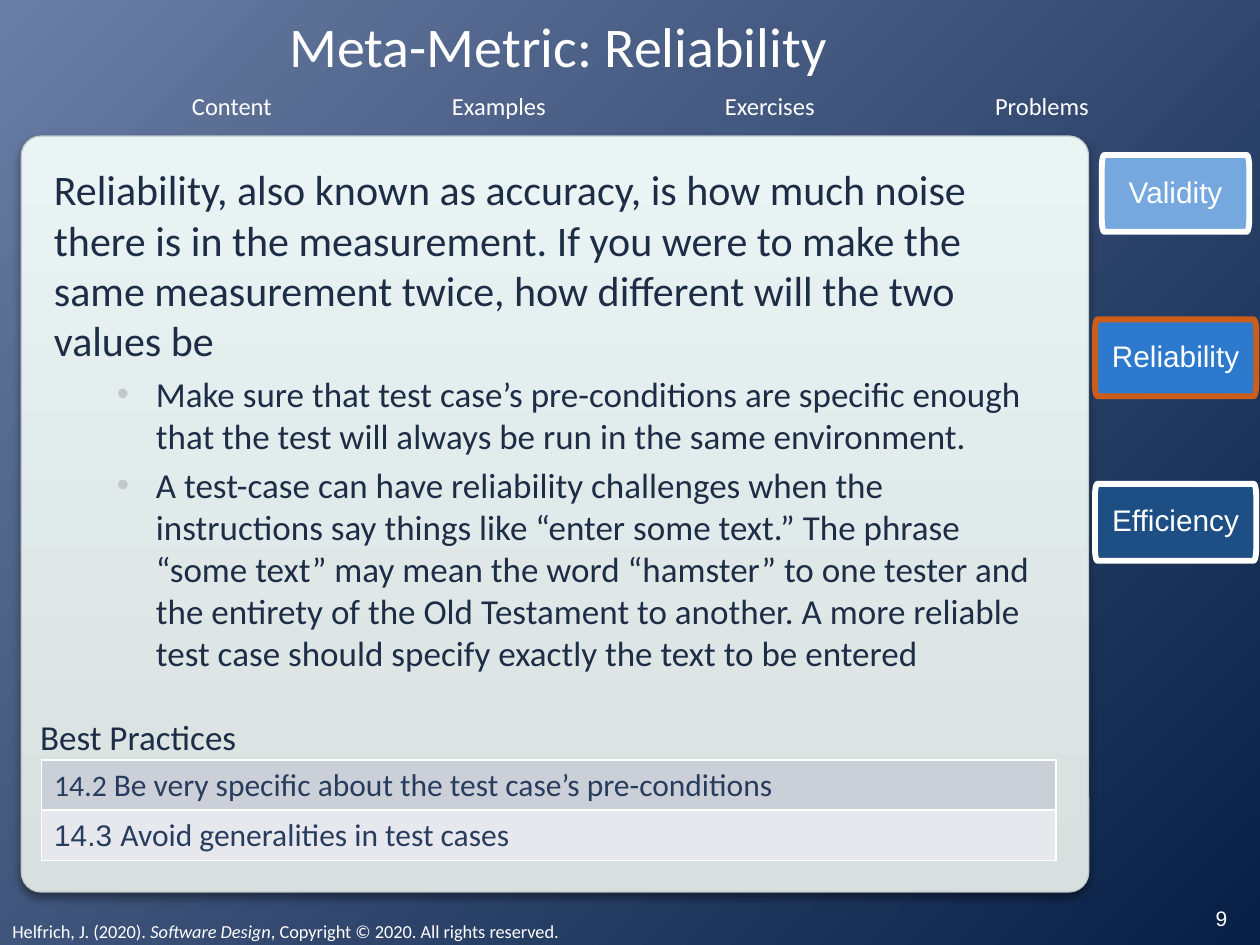
import math
from lxml import etree
from pptx import Presentation
from pptx import util as u
from pptx.dml.color import RGBColor
from pptx.enum import shapes, text
from pptx.oxml import ns

COLORS = {
    "white": "FFFFFF", "ink": "1D2D46", "table_ink": "283D5E", "bullet": "C3C8C8",
    "sky_light": "6A7DA4", "sky_dark": "071F45",
    "panel_low": "D7DFDF", "panel_high": "EBF4F4", "panel_edge": "C1C9C9",
    "validity": "74A8DF", "reliability": "2D79CD", "efficiency": "1D4E84",
    "current": "CB5E1B", "row_dark": "CBCFD8", "row_light": "E7E8ED",
}


def color(name):
    return RGBColor.from_string(COLORS[name])


def add_xml(parent, tag, **attributes):
    return etree.SubElement(parent, ns.qn(tag), attributes)


def add_run(paragraph, words, size, ink="white", font="Calibri", italic=False):
    run = paragraph.add_run()
    run.text = words
    run.font.size = u.Pt(size)
    run.font.name = font
    run.font.italic = italic
    run.font.color.rgb = color(ink)


def set_gradient(fill, first, last, angle):
    fill.gradient()
    fill.gradient_angle = angle
    for stop, name in zip(fill.gradient_stops, (first, last)):
        stop.color.rgb = color(name)


def text_frame(slide, box, inset=(0.1, 0.05), middle=False):
    frame = slide.shapes.add_textbox(*map(u.Inches, box)).text_frame
    frame.word_wrap = True
    frame.margin_left = frame.margin_right = u.Inches(inset[0])
    frame.margin_top = frame.margin_bottom = u.Inches(inset[1])
    if middle:
        frame.vertical_anchor = text.MSO_ANCHOR.MIDDLE
    return frame


def add_label(slide, box, words, size, ink="white", font="Calibri", centred=True, **layout):
    paragraph = text_frame(slide, box, **layout).paragraphs[0]
    if centred:
        paragraph.alignment = text.PP_ALIGN.CENTER
    add_run(paragraph, words, size, ink, font)


def add_panel(slide, box):
    panel = slide.shapes.add_shape(
        shapes.MSO_SHAPE.ROUNDED_RECTANGLE, *map(u.Inches, box))
    panel.adjustments[0] = 0.026
    set_gradient(panel.fill, "panel_low", "panel_high", 90)
    panel.line.color.rgb = color("panel_edge")
    panel.line.width = u.Pt(0.75)
    panel.shadow.inherit = False
    effects = panel._element.spPr.find(ns.qn("a:effectLst"))
    shadow = add_xml(effects, "a:outerShdw", blurRad=str(u.Pt(5.2)), dist=str(u.Pt(3)),
                     dir="5400000", algn="ctr", rotWithShape="0")
    add_xml(add_xml(shadow, "a:srgbClr", val="000000"), "a:alpha", val="40000")


def add_header(slide, box):
    left, top, width, height = box
    add_label(slide, (left, top, width, 0.5), "Meta-Metric: Reliability", 32,
              inset=(0, 0), middle=True)
    sections = (("Content", 1.84), ("Examples", 3.96), ("Exercises", 6.11), ("Problems", 8.27))
    for section, centre in sections:
        add_label(slide, (centre - 0.55, top + height - 0.34, 1.1, 0.34), section, 14)


def add_body(slide, box):
    frame = text_frame(slide, box)
    add_run(frame.paragraphs[0],
            "Reliability, also known as accuracy, is how much noise there is in the "
            "measurement. If you were to make the same measurement twice, how different "
            "will the two values be", 24, "ink")
    advice = (
        "Make sure that test case’s pre-conditions are specific enough that the test "
        "will always be run in the same environment.",
        "A test-case can have reliability challenges when the instructions say things "
        "like “enter some text.” The phrase “some text” may mean the word “hamster” to "
        "one tester and the entirety of the Old Testament to another. A more reliable "
        "test case should specify exactly the text to be entered",
    )
    for sentence in advice:
        paragraph = frame.add_paragraph()
        paragraph.level = 1
        paragraph.space_before = u.Pt(4)
        properties = paragraph._p.get_or_add_pPr()
        properties.set("marL", str(u.Inches(0.81)))
        properties.set("indent", str(u.Inches(-0.31)))
        add_xml(add_xml(properties, "a:buClr"), "a:srgbClr", val=COLORS["bullet"])
        add_xml(properties, "a:buFont", typeface="Arial")
        add_xml(properties, "a:buChar", char="•")
        add_run(paragraph, sentence, 20, "ink")


def add_practices(slide, box):
    left, top, width, height = box
    add_label(slide, (left - 0.11, top - 0.4, 2.17, 0.47), "Best Practices", 20, "ink",
              centred=False)
    practices = (
        ("14.2 ", "Calibri", "Be very specific about the test case’s pre-conditions", "row_dark"),
        ("14.3 ", "Arial", "Avoid generalities in test cases", "row_light"),
    )
    table = slide.shapes.add_table(len(practices), 1, *map(u.Inches, box)).table
    for row, (number, number_font, practice, shade) in enumerate(practices):
        cell = table.cell(row, 0)
        paragraph = cell.text_frame.paragraphs[0]
        add_run(paragraph, number, 17, "table_ink", number_font)
        add_run(paragraph, practice, 18, "table_ink")
        properties = cell._tc.get_or_add_tcPr()
        for side in ("a:lnL", "a:lnR", "a:lnT", "a:lnB"):
            border = add_xml(properties, side, w=str(u.Pt(1)))
            add_xml(add_xml(border, "a:solidFill"), "a:srgbClr", val=COLORS["white"])
        cell.fill.solid()
        cell.fill.fore_color.rgb = color(shade)


def rounded_outline(box, radius_x, radius_y, steps=6):
    left, top, width, height = box
    corners = ((left + radius_x, top + radius_y, 180),
               (left + width - radius_x, top + radius_y, 270),
               (left + width - radius_x, top + height - radius_y, 0),
               (left + radius_x, top + height - radius_y, 90))
    for x, y, start in corners:
        for step in range(steps + 1):
            angle = math.radians(start + 90 * step / steps)
            yield (u.Inches(x + radius_x * math.cos(angle)),
                   u.Inches(y + radius_y * math.sin(angle)))


def add_tab(slide, box, metric, shade, edge):
    outline = list(rounded_outline(box, 0.02, 0.1))
    builder = slide.shapes.build_freeform(*outline[0])
    builder.add_line_segments(outline[1:], close=True)
    tab = builder.convert_to_shape()
    tab.shadow.inherit = False
    tab.fill.solid()
    tab.fill.fore_color.rgb = color(shade)
    tab.line.color.rgb = color(edge)
    tab.line.width = u.Pt(3.35)
    frame = tab.text_frame
    frame.word_wrap = False
    frame.vertical_anchor = text.MSO_ANCHOR.MIDDLE
    frame.margin_top = frame.margin_bottom = u.Inches(0.03)
    paragraph = frame.paragraphs[0]
    paragraph.alignment = text.PP_ALIGN.CENTER
    paragraph.line_spacing = 0.9
    add_run(paragraph, metric, 17, font="Arial")


def add_tabs(slide, box):
    left, top, width, height = box
    metrics = (("Validity", 1.17, "validity", "white"),
               ("Reliability", 1.28, "reliability", "current"),
               ("Efficiency", 1.28, "efficiency", "white"))
    tab_height = 0.61
    pitch = (height - tab_height) / (len(metrics) - 1)
    for index, (metric, tab_width, shade, edge) in enumerate(metrics):
        place = (left + (width - tab_width) / 2, top + index * pitch, tab_width, tab_height)
        add_tab(slide, place, metric, shade, edge)


def add_footer(slide, box):
    left, top, width, height = box
    paragraph = text_frame(slide, (left, top + 0.17, 9, 0.29)).paragraphs[0]
    add_run(paragraph, "Helfrich, J. (2020). ", 10.5)
    add_run(paragraph, "Software Design", 10.5, italic=True)
    add_run(paragraph, ", Copyright © 2020. All rights reserved.", 10.5)
    add_label(slide, (left + 9.36, top, 0.67, height), "9", 12, font="Arial", middle=True)


def build():
    deck = Presentation()
    deck.slide_width, deck.slide_height = u.Inches(10), u.Inches(7.5)
    slide = deck.slides.add_slide(deck.slide_layouts[6])
    set_gradient(slide.background.fill, "sky_light", "sky_dark", 315)
    add_panel(slide, (0.17, 1.08, 8.47, 6))
    add_header(slide, (0.22, 0.11, 8.42, 0.9))
    add_body(slide, (0.33, 1.25, 8.17, 3.83))
    add_tabs(slide, (8.69, 1.23, 1.28, 3.22))
    add_practices(slide, (0.33, 6.03, 8.05, 0.72))
    add_footer(slide, (0, 7.08, 10, 0.42))
    deck.save("out.pptx")


build()
